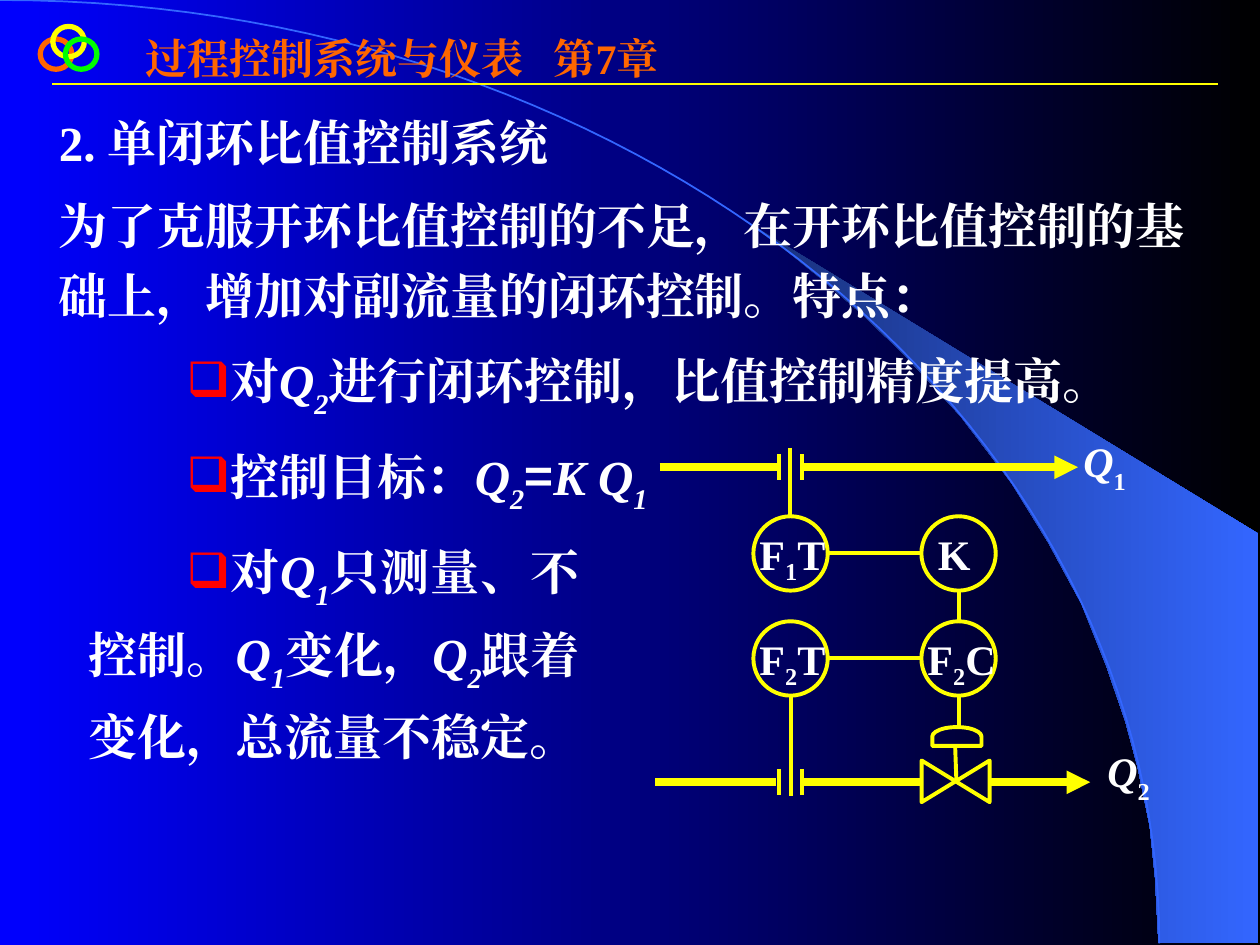
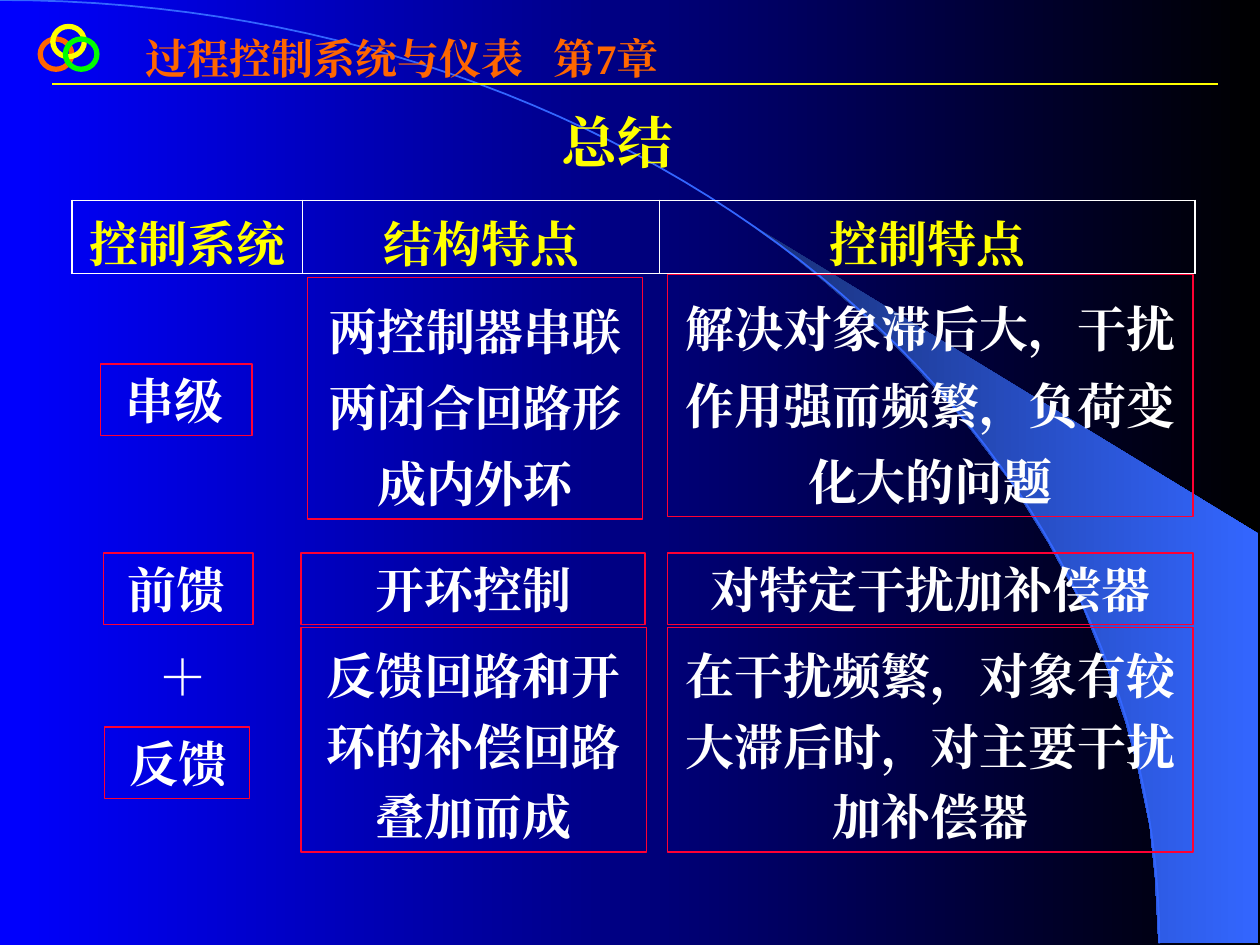
from lxml import etree
from pptx import Presentation
from pptx.dml.color import RGBColor
from pptx.enum.lang import MSO_LANGUAGE_ID
from pptx.enum.shapes import MSO_CONNECTOR, MSO_SHAPE
from pptx.enum.text import MSO_ANCHOR, PP_ALIGN
from pptx.oxml.ns import qn
from pptx.util import Pt

COLORS = {
    "blue": "0000FF", "black": "000000", "navy": "182F76", "azure": "3366FF",
    "orange": "FF6600", "yellow": "FFFF00", "green": "00FF00",
    "white": "FFFFFF", "red": "FF0000", "crimson": "FF0033",
}
LATIN, CJK = "Times New Roman", "Noto Sans CJK SC"
# Run prefixes: font, italic, baseline in percent
RUN_STYLES = {
    "*": (LATIN, True, 0), "~": (LATIN, True, -30), "_": (LATIN, False, -30),
    ".": (LATIN, False, -25), "#": (CJK, False, 0),
}
LEFT, CENTER, JUSTIFY = PP_ALIGN.LEFT, PP_ALIGN.CENTER, PP_ALIGN.JUSTIFY
SWOOSH = [(662, 539), (719, 539), (719, 305), (424, 125), (449, 143), (470, 160),
          (493, 180), (516, 202), (549, 238), (578, 276), (599, 310), (618, 345),
          (632, 380), (643, 412), (650, 438), (657, 472), (660, 501)]
ARC = [(0, 0), (366, 0), (662.5, 241), (662.5, 539)]


def rgb(name):
    return RGBColor.from_string(COLORS[name])


def sub(parent, tag, **attrs):
    return etree.SubElement(parent, qn(tag), attrs)


def bezier(points, steps=60):
    """Points along a cubic curve."""
    a, b, c, d = points
    for i in range(steps + 1):
        t = i / steps
        u = 1 - t
        yield tuple(u**3 * a[k] + 3 * u * u * t * b[k] + 3 * u * t * t * c[k] + t**3 * d[k]
                    for k in (0, 1))


class Deck:
    def __init__(self):
        self.prs = Presentation()
        self.prs.slide_width, self.prs.slide_height = Pt(720), Pt(540)
        self.s = None

    def new_slide(self):
        self.s = self.prs.slides.add_slide(self.prs.slide_layouts[6])
        self.gradient(self.s.background.fill, "blue", "black")
        swoosh = self.outline(SWOOSH, True)
        self.gradient(swoosh.fill, "navy", "azure")
        swoosh.line.fill.background()
        arc = self.outline(list(bezier(ARC)), False)
        arc.fill.background()
        self.stroke(arc, "azure", 1)
        self.line(30, 48, 696, 48, 1.5)
        self.text(76.3, 15.1, 323, 65, ["过程控制系统与仪表\t第7章"], size=24,
                  color="orange", tab=233)
        for x, y, color in ((23, 22.3, "orange"), (30.2, 15.1, "yellow"), (37.4, 22.3, "green")):
            self.shape(MSO_SHAPE.OVAL, x, y, 18, 17.3, color, 3)

    def gradient(self, fill, start, end):
        fill.gradient()
        fill.gradient_angle = 0
        for stop, color in zip(fill.gradient_stops, (start, end)):
            stop.color.rgb = rgb(color)

    def stroke(self, shape, color, width):
        shape.line.color.rgb = rgb(color)
        shape.line.width = Pt(width)

    def outline(self, points, close):
        points = [(Pt(x), Pt(y)) for x, y in points]
        builder = self.s.shapes.build_freeform(*points[0])
        builder.add_line_segments(points[1:], close=close)
        sp = builder.convert_to_shape()
        sp.shadow.inherit = False
        return sp

    def shape(self, kind, x, y, w, h, color="yellow", width=2.25, rotation=0):
        sp = self.s.shapes.add_shape(kind, Pt(x), Pt(y), Pt(w), Pt(h))
        sp.shadow.inherit = False
        sp.fill.background()
        self.stroke(sp, color, width)
        sp.rotation = rotation
        return sp

    def line(self, x1, y1, x2, y2, width=2.25, arrow=False):
        c = self.s.shapes.add_connector(MSO_CONNECTOR.STRAIGHT, Pt(x1), Pt(y1), Pt(x2), Pt(y2))
        self.stroke(c, "yellow", width)
        spPr = c._element.spPr
        if arrow:
            sub(spPr.get_or_add_ln(), "a:tailEnd", type="triangle")
        sub(spPr, "a:effectLst")

    def text(self, x, y, w, h, paragraphs, wrap=True, **style):
        box = self.s.shapes.add_textbox(Pt(x), Pt(y), Pt(w), Pt(h))
        self.fill_text(box.text_frame, paragraphs, wrap, **style)

    def framed(self, x, y, w, h, words, wrap=True, **style):
        sp = self.shape(MSO_SHAPE.RECTANGLE, x, y, w, h, "crimson", 0.75)
        self.fill_text(sp.text_frame, [words], wrap, **style)

    def fill_text(self, tf, paragraphs, wrap=True, size=28, color="white", align=LEFT,
                  spacing=None, before=0, after=0, indent=0, tab=None):
        """Fill a text frame; "- " starts a bullet, "|" parts runs, see RUN_STYLES."""
        tf.word_wrap = wrap
        tf.vertical_anchor = MSO_ANCHOR.TOP
        for i, words in enumerate(paragraphs):
            p = tf.add_paragraph() if i else tf.paragraphs[0]
            p.alignment = align
            p.space_before = Pt(before if i else 0)
            p.space_after = Pt(after)
            if spacing:
                p.line_spacing = spacing
            pPr = p._p.get_or_add_pPr()
            if indent:
                pPr.set("marL", str(Pt(indent)))
            if words.startswith("- "):
                words = words[2:]
                self.bullet(pPr)
            if tab:
                sub(sub(pPr, "a:tabLst"), "a:tab", pos=str(Pt(tab)), algn="l")
            for part in words.split("|"):
                self.run(p, part, size, color)

    def bullet(self, pPr):
        pPr.set("marL", str(Pt(17)))
        pPr.set("indent", str(Pt(56)))
        sub(sub(pPr, "a:buClr"), "a:srgbClr", val=COLORS["red"])
        sub(pPr, "a:buChar", char="❑")

    def run(self, p, part, size, color):
        font, italic, baseline = RUN_STYLES.get(part[0], (LATIN, False, 0))
        r = p.add_run()
        r.text = part[1:] if part[0] in RUN_STYLES else part
        r.font.size = Pt(size)
        r.font.bold = True
        r.font.italic = italic
        r.font.color.rgb = rgb(color)
        r.font.name = font
        r.font.language_id = MSO_LANGUAGE_ID.SIMPLIFIED_CHINESE
        rPr = r._r.get_or_add_rPr()
        sub(rPr, "a:ea", typeface=LATIN)
        if baseline:
            rPr.set("baseline", str(baseline * 1000))

    def header_table(self, x, y, h, widths, labels):
        frame = self.s.shapes.add_table(1, len(labels), Pt(x), Pt(y), Pt(sum(widths)), Pt(h))
        table = frame.table
        table.first_row = table.horz_banding = False
        table.rows[0].height = Pt(h)
        last = len(labels) - 1
        for i, (width, label) in enumerate(zip(widths, labels)):
            table.columns[i].width = Pt(width)
            cell = table.cell(0, i)
            cell.fill.background()
            self.fill_text(cell.text_frame, [label], color="yellow", align=CENTER)
            cell.vertical_anchor = MSO_ANCHOR.BOTTOM
            cell.margin_bottom = 0
            self.borders(cell, {"L": 0.45 if i else 1.08, "R": 0.45 if i < last else 1.08,
                                "T": 1.08, "B": 1.08})

    def borders(self, cell, widths):
        tcPr = cell._tc.get_or_add_tcPr()
        for i, (side, width) in enumerate(widths.items()):
            ln = etree.Element(qn(f"a:ln{side}"), w=str(Pt(width)))
            sub(sub(ln, "a:solidFill"), "a:srgbClr", val=COLORS["white"])
            tcPr.insert(i, ln)


def flow_diagram(deck):
    left, right, top, bottom, size = 430.5, 526.5, 295, 355, 42.5
    # Pipes with their orifice plates and signal lines
    deck.line(377, 267, 446, 267, 4.5)
    deck.line(459, 267, 616, 267, 4.5, arrow=True)
    deck.line(374.5, 447, 443.5, 447, 4.5)
    deck.line(459.5, 447, right, 447, 4.5)
    deck.line(565, 447, 623, 447, 4.5, arrow=True)
    for y in (267, 447):
        for x in (445.3, 458.3):
            deck.line(x, y - 7.3, x, y + 7.3)
    deck.line(451.7, 256, 451.7, top)
    deck.line(452, bottom + size, 452, 455)
    # Instruments and their links
    for x, y, name in ((left, top, "F|.1|T"), (right, top, "K"),
                       (left, bottom, "F|.2|T"), (right, bottom, "F|.2|C")):
        deck.shape(MSO_SHAPE.OVAL, x, y, size, size)
        deck.text(x - 3.6, y + 3.2, 57.5, 32.4, [name], size=24, indent=6 if name == "K" else 0)
    for y in (top, bottom):
        deck.line(left + size, y + size / 2, right, y + size / 2)
    deck.line(547.8, top + size, 547.8, bottom)
    deck.line(547.8, bottom + size, 547.8, 415.5)
    # Control valve
    deck.shape(MSO_SHAPE.FLOWCHART_COLLATE, 534.2, 427, 23.8, 38.9, rotation=270)
    deck.line(546.5, 445.7, 545.8, 426)
    deck.shape(MSO_SHAPE.FLOWCHART_DELAY, 541.4, 406.8, 10.8, 28.1, rotation=270)
    deck.text(612, 245.5, 50.4, 42.5, ["*Q|_1"], size=24)
    deck.text(625.7, 422.6, 49.7, 42.5, ["*Q|_2"], size=24)


def ratio_control_slide(deck):
    deck.new_slide()
    deck.text(26.6, 54, 659.5, 244.8, [
        "2. 单闭环比值控制系统",
        "为了克服开环比值控制的不足，在开环比值控制的基础上，增加对副流量的闭环控制。特点：",
        "- 对|*Q|~2|进行闭环控制，比值控制精度提高。",
        "- 控制目标：|*Q|~2|#=|*K Q|~1",
    ], spacing=1.2, before=7)
    deck.text(26.6, 298.1, 311.8, 142.6, [
        "- 对|*Q|~1|只测量、不控制。|*Q|~1|变化，|*Q|~2|跟着变化，总流量不稳定。",
    ], spacing=1.2, align=JUSTIFY)
    flow_diagram(deck)


def summary_slide(deck):
    deck.new_slide()
    deck.text(313.9, 50.4, 88.6, 53.3, ["总结"], size=32, color="yellow", spacing=1.2)
    deck.header_table(41, 114.5, 41.8, (132, 204, 306), ("控制系统", "结构特点", "控制特点"))
    for x, y, w, name in ((57.6, 208.1, 86.4, "串级"), (59, 316.1, 85.7, "前馈"),
                          (59.8, 415.4, 82.8, "反馈")):
        deck.framed(x, y, w, 41, name, indent=7)
    deck.text(83.5, 365.8, 42.5, 41, ["＋"], wrap=False, align=CENTER)
    control_x, control_w = 381.6, 300.2
    for x, y, w, h, words, style in (
        (175.7, 158.4, 191.5, 138.2, "两控制器串联两闭合回路形成内外环", {"spacing": 1.3, "after": 7}),
        (control_x, 157, control_w, 138.2, "解决对象滞后大，干扰作用强而频繁，负荷变化大的问题",
         {"spacing": 1.3, "after": 7}),
        (172.1, 316.1, 196.6, 41, "开环控制", {}),
        (control_x, 316.1, control_w, 41, "对特定干扰加补偿器", {}),
        (172.1, 358.6, 197.3, 128.2, "反馈回路和开环的补偿回路叠加而成", {"spacing": 1.2}),
        (control_x, 358.6, control_w, 128.2, "在干扰频繁，对象有较大滞后时，对主要干扰加补偿器",
         {"spacing": 1.2}),
    ):
        deck.framed(x, y, w, h, words, align=CENTER, **style)


def main():
    deck = Deck()
    ratio_control_slide(deck)
    summary_slide(deck)
    deck.prs.save("out.pptx")


if __name__ == "__main__":
    main()
